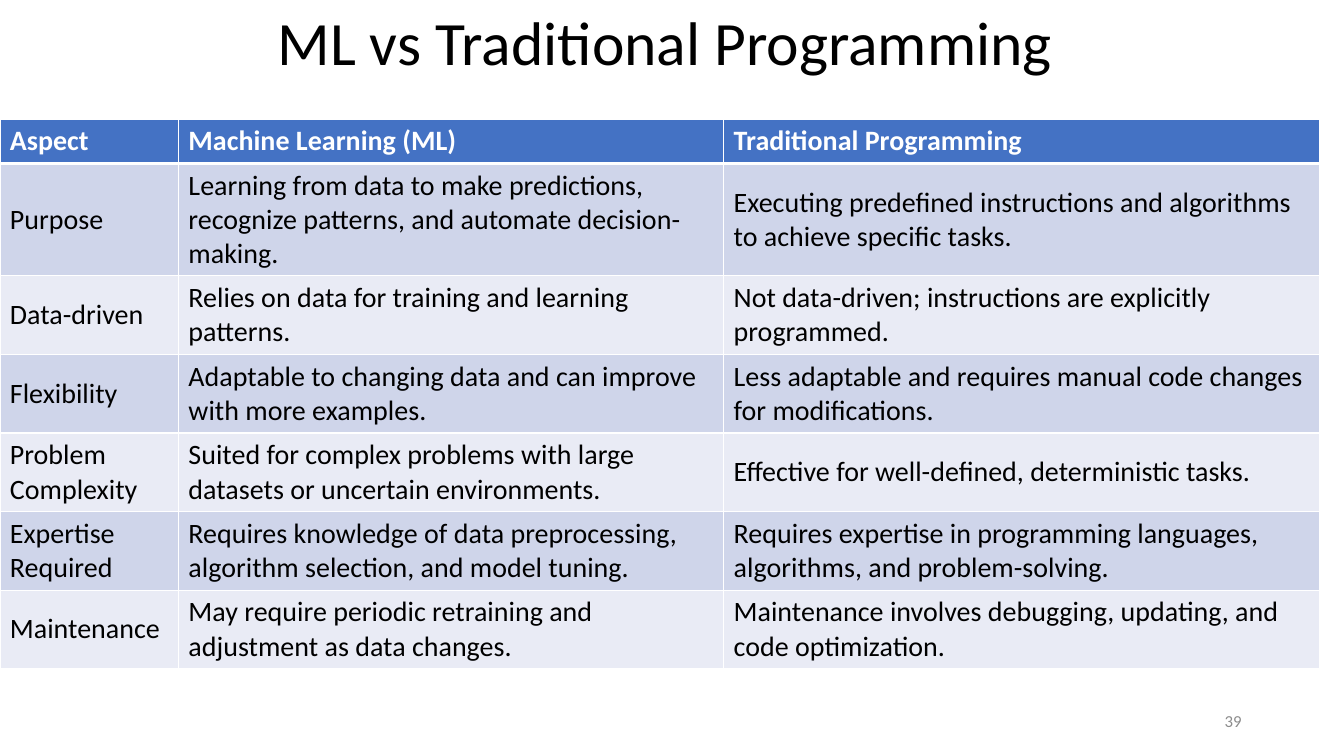
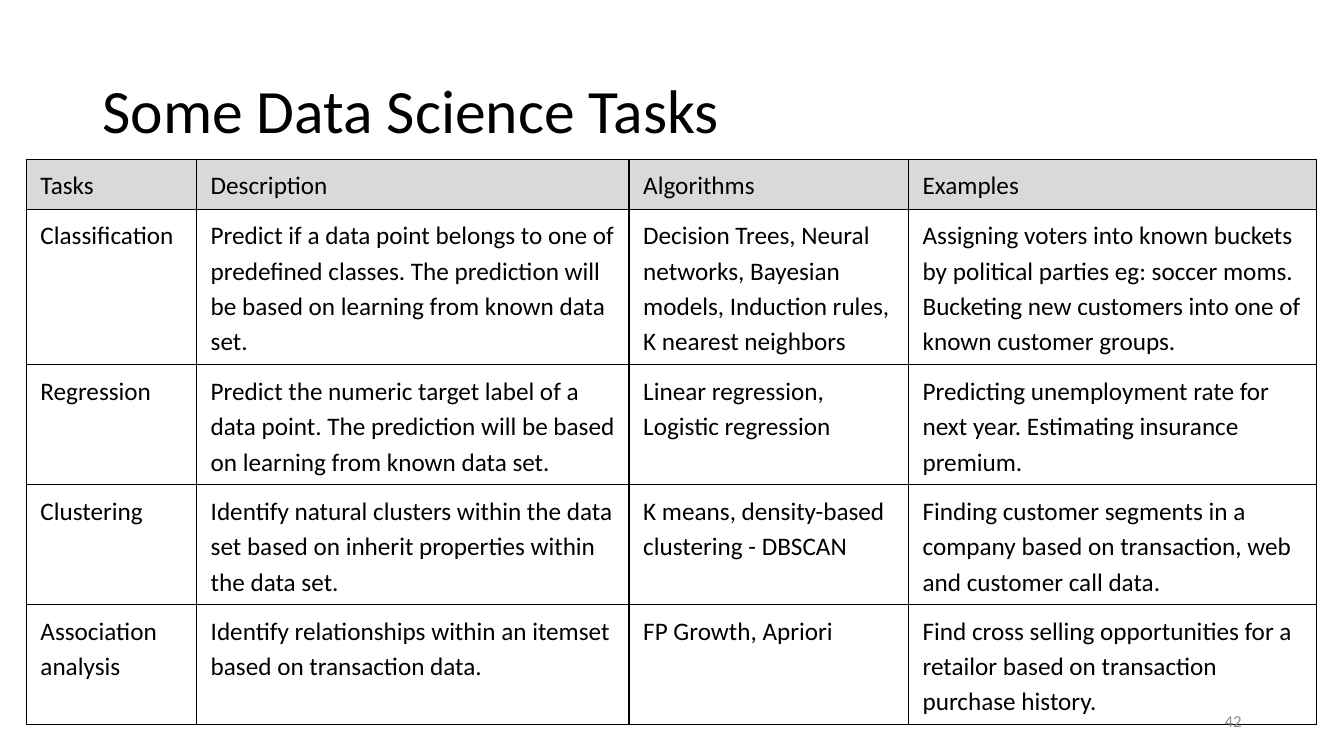
from dataclasses import dataclass

from lxml import etree
from pptx import Presentation
from pptx.dml.color import RGBColor
from pptx.enum.text import MSO_ANCHOR, PP_ALIGN
from pptx.oxml.ns import qn
from pptx.util import Cm, Pt

LEFT, CENTER, RIGHT = PP_ALIGN.LEFT, PP_ALIGN.CENTER, PP_ALIGN.RIGHT
TOP, MIDDLE, BOTTOM = MSO_ANCHOR.TOP, MSO_ANCHOR.MIDDLE, MSO_ANCHOR.BOTTOM


@dataclass(frozen=True)
class Theme:
    font: str = "Calibri"
    black: str = "000000"
    white: str = "FFFFFF"
    blue: str = "4472C4"
    bands: tuple = ("CFD5EA", "E9EBF5")
    header_grey: str = "D9D9D9"
    number_grey: str = "8C8C8C"
    title_size: int = 44
    number_size: int = 12


THEME = Theme()

COMPARISON = [
    ("Aspect", "Machine Learning (ML)", "Traditional Programming"),
    ("Purpose",
     "Learning from data to make predictions, recognize patterns, and automate decision-making.",
     "Executing predefined instructions and algorithms to achieve specific tasks."),
    ("Data-driven",
     "Relies on data for training and learning patterns.",
     "Not data-driven; instructions are explicitly programmed."),
    ("Flexibility",
     "Adaptable to changing data and can improve with more examples.",
     "Less adaptable and requires manual code changes for modifications."),
    ("Problem Complexity",
     "Suited for complex problems with large datasets or uncertain environments.",
     "Effective for well-defined, deterministic tasks."),
    ("Expertise Required",
     "Requires knowledge of data preprocessing, algorithm selection, and model tuning.",
     "Requires expertise in programming languages, algorithms, and problem-solving."),
    ("Maintenance",
     "May require periodic retraining and adjustment as data changes.",
     "Maintenance involves debugging, updating, and code optimization."),
]

TASKS = [
    ("Tasks", "Description", "Algorithms", "Examples"),
    ("Classification",
     "Predict if a data point belongs to one of predefined classes. "
     "The prediction will be based on learning from known data set.",
     "Decision Trees, Neural networks, Bayesian models, Induction rules, K nearest neighbors",
     "Assigning voters into known buckets by political parties eg: soccer moms. "
     "Bucketing new customers into one of known customer groups."),
    ("Regression",
     "Predict the numeric target label of a data point. "
     "The prediction will be based on learning from known data set.",
     "Linear regression, Logistic regression",
     "Predicting unemployment rate for next year. Estimating insurance premium."),
    ("Clustering",
     "Identify natural clusters within the data set based on inherit properties "
     "within the data set.",
     "K means, density-based clustering - DBSCAN",
     "Finding customer segments in a company based on transaction, web and customer call data."),
    ("Association analysis",
     "Identify relationships within an itemset based on transaction data.",
     "FP Growth, Apriori",
     "Find cross selling opportunities for a retailor based on transaction purchase history."),
]

# Lengths are in centimetres, text sizes and line widths in points.
BANDED = {
    "size": 20, "margins": (0.25, 0.13), "indent": 0, "spacing": 1.0,
    "anchors": (BOTTOM, MIDDLE), "header_fill": THEME.blue,
    "header_color": THEME.white, "header_bold": True, "body_fills": THEME.bands,
    "line": THEME.white, "header_rule": 3,
}
RULED = {
    "size": 18, "margins": (0.18, 0.18), "indent": 0.18, "spacing": 1.15,
    "anchors": (TOP, TOP), "header_fill": THEME.header_grey,
    "header_color": THEME.black, "header_bold": False, "body_fills": (None,),
    "line": THEME.black, "header_rule": 1,
}

SLIDES = [
    {"title": "ML vs Traditional Programming ", "align": CENTER,
     "title_top": 0, "title_height": 2.29, "number": "39",
     "rows": COMPARISON, "style": BANDED, "at": (0, 3),
     "widths": (4.5, 13.74, 15.01), "heights": (1.12, 2.83) + (1.98,) * 5},
    {"title": "Some Data Science Tasks", "align": LEFT,
     "title_top": 1.01, "title_height": 3.68, "number": "42",
     "rows": TASKS, "style": RULED, "at": (0.66, 4.01),
     "widths": (4.29, 10.9, 7.04, 10.29), "heights": (1.26, 3.92) + (3.02,) * 3},
]


def write(tf, text, size, color, align=LEFT, spacing=1.0, bold=False):
    tf.word_wrap = True
    p = tf.paragraphs[0]
    p.alignment, p.line_spacing = align, spacing
    r = p.add_run()
    r.text = text
    font = {"name": THEME.font, "size": Pt(size), "bold": bold}
    for name, value in font.items():
        setattr(r.font, name, value)
    r.font.color.rgb = RGBColor.from_string(color)
    return p


def add_text(slide, box, *args, **kwargs):
    tf = slide.shapes.add_textbox(*map(Cm, box)).text_frame
    tf.vertical_anchor = MIDDLE
    write(tf, *args, **kwargs)


def set_borders(cell, color, widths):
    tc_pr = cell._tc.get_or_add_tcPr()
    for side, width in widths.items():
        ln = etree.SubElement(tc_pr, qn(f"a:ln{side}"), w=str(Pt(width)))
        fill = etree.SubElement(ln, qn("a:solidFill"))
        etree.SubElement(fill, qn("a:srgbClr"), val=color)


def format_cell(cell, text, row, style):
    header = row == 0
    fills = style["body_fills"]
    fill = style["header_fill"] if header else fills[(row - 1) % len(fills)]
    across, down = map(Cm, style["margins"])
    layout = {"margin_left": across, "margin_right": across,
              "margin_top": down, "margin_bottom": down,
              "vertical_anchor": style["anchors"][0 if header else 1]}
    for name, value in layout.items():
        setattr(cell, name, value)
    rule = style["header_rule"]
    set_borders(cell, style["line"], {
        "L": 1, "R": 1, "T": rule if row == 1 else 1, "B": rule if header else 1})
    if fill:
        cell.fill.solid()
        cell.fill.fore_color.rgb = RGBColor.from_string(fill)
    else:
        cell.fill.background()
    p = write(cell.text_frame, text, style["size"],
              style["header_color"] if header else THEME.black,
              spacing=style["spacing"], bold=header and style["header_bold"])
    p._p.get_or_add_pPr().set("marL", str(Cm(style["indent"])))


def add_grid(slide, rows, at, widths, heights, style):
    box = (*at, sum(widths), sum(heights))
    table = slide.shapes.add_table(len(rows), len(widths), *map(Cm, box)).table
    table.first_row = table.horz_banding = False
    for column, width in zip(table.columns, widths):
        column.width = Cm(width)
    for i, (values, height) in enumerate(zip(rows, heights)):
        table.rows[i].height = Cm(height)
        for j, text in enumerate(values):
            format_cell(table.cell(i, j), text, i, style)


def main():
    prs = Presentation()
    prs.slide_width, prs.slide_height = Cm(33.87), Cm(19.05)
    for s in SLIDES:
        slide = prs.slides.add_slide(prs.slide_layouts[6])
        add_text(slide, (2.33, s["title_top"], 29.21, s["title_height"]), s["title"],
                 THEME.title_size, THEME.black, s["align"], spacing=0.9)
        add_grid(slide, s["rows"], s["at"], s["widths"], s["heights"], s["style"])
        add_text(slide, (23.92, 17.66, 7.62, 1.01), s["number"],
                 THEME.number_size, THEME.number_grey, RIGHT)
    prs.save("out.pptx")


if __name__ == "__main__":
    main()
